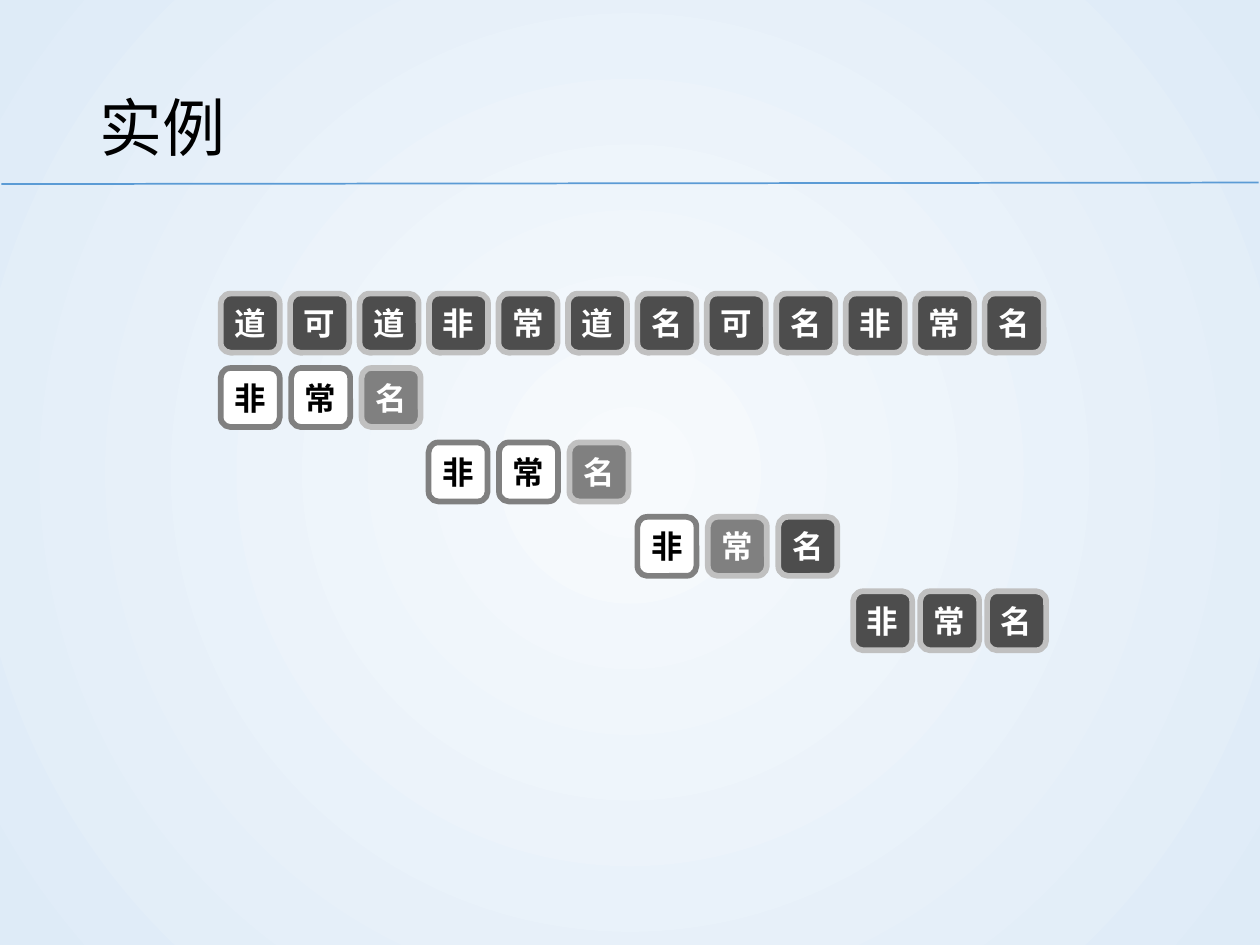
import dataclasses

import pptx
import pptx.dml.color
import pptx.enum.shapes
import pptx.enum.text
import pptx.oxml
import pptx.oxml.ns
import pptx.util

Cm = pptx.util.Cm
Pt = pptx.util.Pt
RGB = pptx.dml.color.RGBColor.from_string
qn = pptx.oxml.ns.qn
MID = pptx.enum.text.MSO_ANCHOR.MIDDLE
ALIGN = pptx.enum.text.PP_ALIGN
NS = pptx.oxml.ns.nsdecls("a")


@dataclasses.dataclass(frozen=True)
class Theme:
    glow: str = "F7FAFD"
    sky: str = "DEEBF7"
    rule: str = "5B9BD5"
    ink: str = "000000"
    head: int = 36
    body: int = 18
    thin: float = 1
    thick: float = 3.25
    latin: str = "Arial"
    mono: str = "Courier New"
    hans: str = "Noto Sans CJK SC"
    # Tile looks: fill, border, text
    match: tuple = ("4D4D4D", "C0C0C0", "FFFFFF")
    miss: tuple = ("808080", "C0C0C0", "FFFFFF")
    idle: tuple = ("FFFFFF", "808080", "000000")


def assign(item, values):
    for name, value in values.items():
        setattr(item, name, value)


class Page:
    def __init__(self, slide, theme):
        self.slide = slide
        self.theme = theme

    def backdrop(self):
        fill = self.slide.background.fill
        fill.gradient()
        for stop, color in zip(fill.gradient_stops, (self.theme.glow, self.theme.sky)):
            stop.color.rgb = RGB(color)
        # Turn the linear gradient into a circular one
        lin = next(self.slide.element.iter(qn("a:lin")))
        lin.getparent().replace(lin, pptx.oxml.parse_xml(
            f'<a:path {NS} path="circle">'
            '<a:fillToRect l="50000" t="50000" r="50000" b="50000"/></a:path>'))

    def rule(self, x1, y1, x2, y2):
        line = self.slide.shapes.add_connector(
            pptx.enum.shapes.MSO_CONNECTOR.STRAIGHT, Cm(x1), Cm(y1), Cm(x2), Cm(y2))
        line.line.color.rgb = RGB(self.theme.rule)
        line.line.width = Pt(self.theme.thin)
        line._element.spPr.append(pptx.oxml.parse_xml(f"<a:effectLst {NS}/>"))

    def label(self, frame, text, color, font, para):
        frame.vertical_anchor = MID
        first = frame.paragraphs[0]
        assign(first, para)
        run = first.add_run()
        run.text = text
        assign(run.font, font)
        run.font.color.rgb = RGB(color)

    def title(self, text, x, y, w, h):
        box = self.slide.shapes.add_textbox(Cm(x), Cm(y), Cm(w), Cm(h))
        box.text_frame.word_wrap = True
        self.label(box.text_frame, text, self.theme.ink,
                   {"name": self.theme.latin, "size": Pt(self.theme.head)},
                   {"line_spacing": 1.2})

    def tile(self, char, x, y, size, look, face):
        fill, edge, ink = look
        tile = self.slide.shapes.add_shape(
            pptx.enum.shapes.MSO_SHAPE.ROUNDED_RECTANGLE,
            Cm(x), Cm(y), Cm(size), Cm(size))
        tile.shadow.inherit = False
        tile.fill.solid()
        tile.fill.fore_color.rgb = RGB(fill)
        tile.line.color.rgb = RGB(edge)
        tile.line.width = Pt(self.theme.thick)
        frame = tile.text_frame
        assign(frame, {"margin_left": 0, "margin_top": 0, "margin_right": 0,
                       "margin_bottom": 0, "word_wrap": False})
        self.label(frame, char, ink,
                   {"name": face, "size": Pt(self.theme.body), "bold": True},
                   {"alignment": ALIGN.CENTER})


def main():
    deck = pptx.Presentation()
    deck.slide_width, deck.slide_height = Cm(25.4), Cm(19.05)
    theme = Theme()
    page = Page(deck.slides.add_slide(deck.slide_layouts[6]), theme)

    # Frame of the slide
    page.backdrop()
    page.rule(0.03, 3.71, 25.37, 3.68)
    page.title("实例", 1.75, 1.02, 21.9, 2.74)

    # Rows: text, looks, first column, left edge, step
    size, top, pitch = 1.19, 5.92, 1.5
    text, word = "道可道非常道名可名非常名", "非常名"
    on, off, none = theme.match, theme.miss, theme.idle
    rows = [
        (text, [on] * len(text), 0, 4.45, 1.4),
        (word, [none, none, off], 0, 4.45, 1.42),
        (word, [none, none, off], 3, 8.64, 1.42),
        (word, [none, off, on], 6, 12.85, 1.42),
        (word, [on, on, on], 9, 17.2, 1.35),
    ]

    # Columns with an idle tile use the Chinese face
    idle = {col + i for _, looks, col, _, _ in rows
            for i, look in enumerate(looks) if look is none}
    for row, (chars, looks, col, left, step) in enumerate(rows):
        for i, (char, look) in enumerate(zip(chars, looks)):
            face = theme.hans if col + i in idle else theme.mono
            page.tile(char, left + i * step, top + row * pitch, size, look, face)

    deck.save("out.pptx")


if __name__ == "__main__":
    main()
